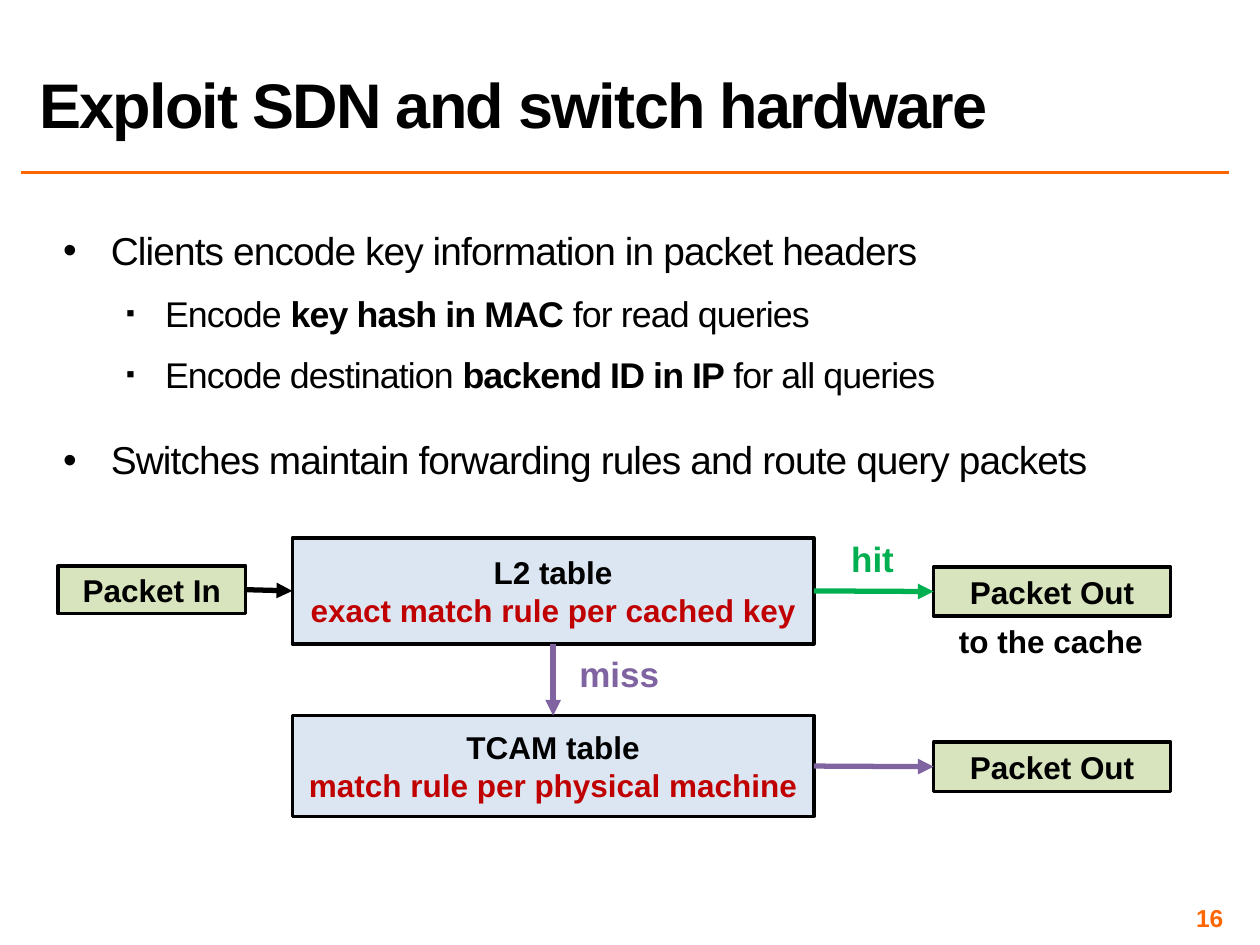
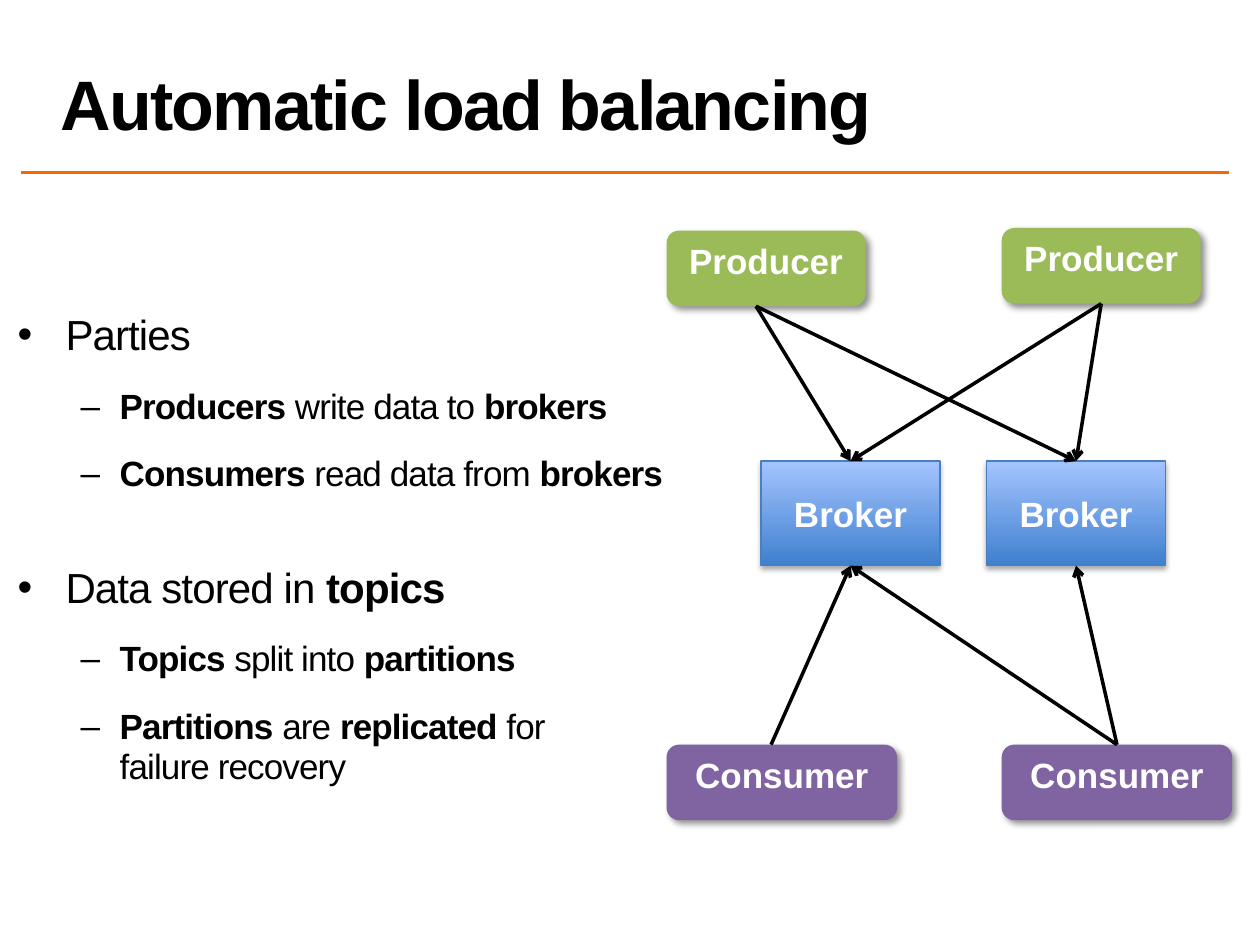
from dataclasses import dataclass

from lxml import etree
from pptx import Presentation, util as u
from pptx.dml.color import RGBColor
from pptx.enum import shapes, text
from pptx.oxml.ns import qn

COLOURS = {
    "ink": "000000", "paper": "FFFFFF", "accent": "FF6600",
    "table": "DCE6F2", "packet": "D7E4BD", "rule": "C00000",
    "hit": "00B050", "miss": "8064A2",
    "producer": "9BBB59", "consumer": "8064A2",
    "broker_low": "3F80CE", "broker_high": "A4C4FF", "broker_edge": "4B7EBC",
}
FONT = "Arial"
COLUMNS, ROWS = 10, 7.5
CELL = u.Inches(1)
TOP, LEFT, BOTTOM, RIGHT = range(4)
CENTRE = text.PP_ALIGN.CENTER
MIDDLE = text.MSO_ANCHOR.MIDDLE


@dataclass
class Level:
    """Look of one list level."""
    bullet: str
    size: float
    spacing: float
    before: float
    margin: float
    hanging: float
    bullet_percent: int = 100


def grid(*cells):
    """Turn columns and rows into lengths."""
    return [int(cell * CELL) for cell in cells]


def colour(name):
    return RGBColor.from_string(COLOURS[name])


def add_xml(parent, tag, **attributes):
    return etree.SubElement(parent, qn(tag), attributes)


# Text

def format_runs(para, size, tint="ink", bold=True, tracking=0):
    for run in para.runs:
        run.font.name, run.font.size = FONT, u.Pt(size)
        run.font.color.rgb = colour(tint)
        run.font.bold = bold
        if tracking:
            run._r.get_or_add_rPr().set("spc", str(int(tracking * 100)))


def set_frame(frame, anchor, horizontal=0.1, vertical=0.05):
    frame.word_wrap = True
    frame.auto_size = text.MSO_AUTO_SIZE.NONE
    frame.vertical_anchor = anchor
    frame.margin_left = frame.margin_right = u.Inches(horizontal)
    frame.margin_top = frame.margin_bottom = u.Inches(vertical)


def write_lines(shape, lines, size, align=CENTRE):
    """Write (text, colour) pairs as bold paragraphs."""
    frame = shape.text_frame
    frame.text = "\n".join(line for line, _ in lines)
    for para, (_, tint) in zip(frame.paragraphs, lines):
        para.alignment = align
        format_runs(para, size, tint)


def add_label(page, place, label, tint, size, align=CENTRE,
              anchor=text.MSO_ANCHOR.TOP):
    box = page.shapes.add_textbox(*grid(*place))
    set_frame(box.text_frame, anchor)
    write_lines(box, [(label, tint)], size, align)
    return box


def move(shape, place):
    shape.left, shape.top, shape.width, shape.height = grid(*place)


def add_page(deck, title, place, size):
    """Start a page with its title and the orange rule."""
    page = deck.slides.add_slide(deck.slide_layouts[1])
    add_line(page, (0.17, 1.37), (9.75, 1.37), "accent", 2)
    heading = page.shapes.title
    move(heading, place)
    set_frame(heading.text_frame, text.MSO_ANCHOR.BOTTOM)
    heading.text_frame.text = title
    para = heading.text_frame.paragraphs[0]
    para.alignment, para.line_spacing = text.PP_ALIGN.LEFT, 0.8
    format_runs(para, size, tracking=-1)
    return page


def add_list(page, place, levels, items):
    """Fill the body; ** switches bold and a line feed breaks the line."""
    body = page.placeholders[1]
    move(body, place)
    frame = body.text_frame
    set_frame(frame, text.MSO_ANCHOR.TOP, 0.04, 0.04)
    for index, (depth, item) in enumerate(items):
        para = frame.add_paragraph() if index else frame.paragraphs[0]
        level = levels[depth]
        para.level = depth
        properties = para._p.get_or_add_pPr()
        properties.set("marL", str(u.Inches(level.margin)))
        properties.set("indent", str(-u.Inches(level.hanging)))
        add_xml(properties, "a:buSzPct", val=str(level.bullet_percent * 1000))
        add_xml(properties, "a:buFont", typeface=FONT)
        add_xml(properties, "a:buChar", char=level.bullet)
        para.line_spacing = level.spacing
        para.space_before = u.Pt(level.before if index else 0)
        para.space_after = u.Pt(8)
        for part, words in enumerate(item.split("**")):
            for row, line in enumerate(words.split("\n")):
                if row:
                    para.add_line_break()
                if line:
                    para.add_run().text = line
                    para.runs[-1].font.bold = part % 2 == 1
        format_list_runs(para, level.size)


def format_list_runs(para, size):
    weights = [run.font.bold for run in para.runs]
    format_runs(para, size, tracking=-0.5)
    for run, bold in zip(para.runs, weights):
        run.font.bold = bold


# Shapes

def add_box(page, place, lines, fill=None, size=18, rounded=False):
    kind = shapes.MSO_SHAPE.ROUNDED_RECTANGLE if rounded else shapes.MSO_SHAPE.RECTANGLE
    box = page.shapes.add_shape(kind, *grid(*place))
    box.shadow.inherit = False
    if fill:
        box.fill.solid()
        box.fill.fore_color.rgb = colour(fill)
    box.line.color.rgb = colour("ink")
    box.line.width = u.Pt(2)
    set_frame(box.text_frame, MIDDLE, 0.05)
    write_lines(box, lines, size)
    return box


def add_shadow(box, opacity, blur, distance, angle):
    effects = box._element.spPr.find(qn("a:effectLst"))
    shadow = add_xml(effects, "a:outerShdw", blurRad=str(u.Pt(blur)),
                     dist=str(u.Pt(distance)), dir=str(angle * 60000),
                     rotWithShape="0")
    tint = add_xml(shadow, "a:srgbClr", val=COLOURS["ink"])
    add_xml(tint, "a:alpha", val=str(opacity * 1000))


def add_party(page, place, name):
    box = add_box(page, place, [(name, "paper")], name.lower(), 20, rounded=True)
    box.line.fill.background()
    set_frame(box.text_frame, text.MSO_ANCHOR.TOP, 0.07, 0.04)
    add_shadow(box, 43, 4, 3, 45)
    return box


def add_broker(page, left):
    box = add_box(page, (left, 3.66, 1.42, 0.83), [("Broker", "paper")], size=20)
    box.fill.gradient()
    box.fill.gradient_angle = 90
    for stop, tint in zip(box.fill.gradient_stops, ("broker_low", "broker_high")):
        stop.color.rgb = colour(tint)
    box.line.color.rgb = colour("broker_edge")
    box.line.width = u.Pt(0.75)
    add_shadow(box, 35, 3.1, 1.8, 90)
    return box


def add_line(page, start, end, tint="ink", width=2, head=None):
    """Draw a line; each end is a point or a (shape, side) pair."""
    line = page.shapes.add_connector(shapes.MSO_CONNECTOR.STRAIGHT, 0, 0, 0, 0)
    line.begin_x, line.begin_y = grid(*start) if is_point(start) else (0, 0)
    line.end_x, line.end_y = grid(*end) if is_point(end) else (0, 0)
    if not is_point(start):
        line.begin_connect(*start)
    if not is_point(end):
        line.end_connect(*end)
    line.line.color.rgb = colour(tint)
    line.line.width = u.Pt(width)
    properties = line._element.spPr
    if head:
        add_xml(properties.find(qn("a:ln")), "a:tailEnd", type=head)
    add_xml(properties, "a:effectLst")


def is_point(end):
    return isinstance(end[0], (int, float))


# Pages

def build_switch_page(deck):
    page = add_page(deck, "Exploit SDN and switch hardware", (0.21, -0.08, 10, 1.25), 36)
    levels = [Level("•", 22.2, 0.9, 18, 0.38, 0.38),
              Level("▪", 20.4, 0.85, 6, 0.81, 0.31, 70)]
    add_list(page, (0.46, 1.8, 9.08, 2.14), levels, [
        (0, "Clients encode key information in packet headers"),
        (1, "Encode **key hash in MAC** for read queries"),
        (1, "Encode destination **backend ID in IP **for all queries"),
        (0, "Switches maintain forwarding rules and route query packets"),
    ])

    # Lookup tables and packets
    exact = add_box(page, (2.32, 4.27, 4.14, 0.84), [
        ("L2 table", "ink"), ("exact match rule per cached key", "rule")], "table")
    fallback = add_box(page, (2.32, 5.68, 4.14, 0.8), [
        ("TCAM table", "ink"), ("match rule per physical machine", "rule")], "table")
    packet_in = add_box(page, (0.46, 4.49, 1.49, 0.38), [("Packet In", "ink")], "packet")
    to_cache, to_backend = [
        add_box(page, (7.41, top, 1.88, 0.39), [("Packet Out", "ink")], "packet")
        for top in (4.5, 5.89)]

    # Flow between them
    for start, end, tint in [
        ((packet_in, RIGHT), (exact, LEFT), "ink"),
        ((exact, RIGHT), (to_cache, LEFT), "hit"),
        ((exact, BOTTOM), (fallback, TOP), "miss"),
        ((fallback, RIGHT), (to_backend, LEFT), "miss"),
    ]:
        add_line(page, start, end, tint, 3, "triangle")
    add_label(page, (4.47, 5.13, 0.89, 0.44), "miss", "miss", 20)
    add_label(page, (6.6, 4.22, 0.65, 0.44), "hit", "hit", 20)
    add_label(page, (7.39, 4.89, 1.9, 0.4), "to the cache", "ink", 18)

    # Page number
    number = add_label(page, (7.42, 7.17, 2.33, 0.23), "16", "accent", 14,
                       text.PP_ALIGN.RIGHT, MIDDLE)
    set_frame(number.text_frame, MIDDLE, 0.04, 0.04)


def build_balancing_page(deck):
    page = add_page(deck, "Automatic load balancing", (0.38, 0.02, 9.37, 1.17), 40)
    levels = [Level("•", 24, 1.0, 30, 0.38, 0.38),
              Level("–", 20, 0.95, 8, 0.81, 0.31)]
    add_list(page, (0.1, 2.41, 5.57, 4.11), levels, [
        (0, "Parties"),
        (1, "**Producers** write data to **brokers**"),
        (1, "**Consumers** read data from **brokers**"),
        (0, "Data stored in **topics**"),
        (1, "**Topics **split into **partitions**"),
        (1, "**Partitions **are **replicated **for\nfailure recovery"),
    ])

    # Parties
    left, right = 5.29, 7.95
    add_party(page, (left, 1.83, 1.58, 0.6), "Producer")
    producer = add_party(page, (right, 1.81, 1.58, 0.6), "Producer")
    add_party(page, (left, 5.91, 1.83, 0.6), "Consumer")
    consumer = add_party(page, (right, 5.91, 1.83, 0.6), "Consumer")
    brokers = [add_broker(page, edge) for edge in (6.04, 7.83)]

    # Writes reach both brokers, reads come from below
    for broker in brokers:
        for start in ((6, 2.43), (producer, BOTTOM)):
            add_line(page, start, (broker, TOP), head="arrow")
        add_line(page, (consumer, TOP), (broker, BOTTOM), head="arrow")
    add_line(page, (6.12, 5.91), (brokers[0], BOTTOM), head="arrow")


def main():
    deck = Presentation()
    deck.slide_width, deck.slide_height = grid(COLUMNS, ROWS)
    build_switch_page(deck)
    build_balancing_page(deck)
    deck.save("out.pptx")


if __name__ == "__main__":
    main()
